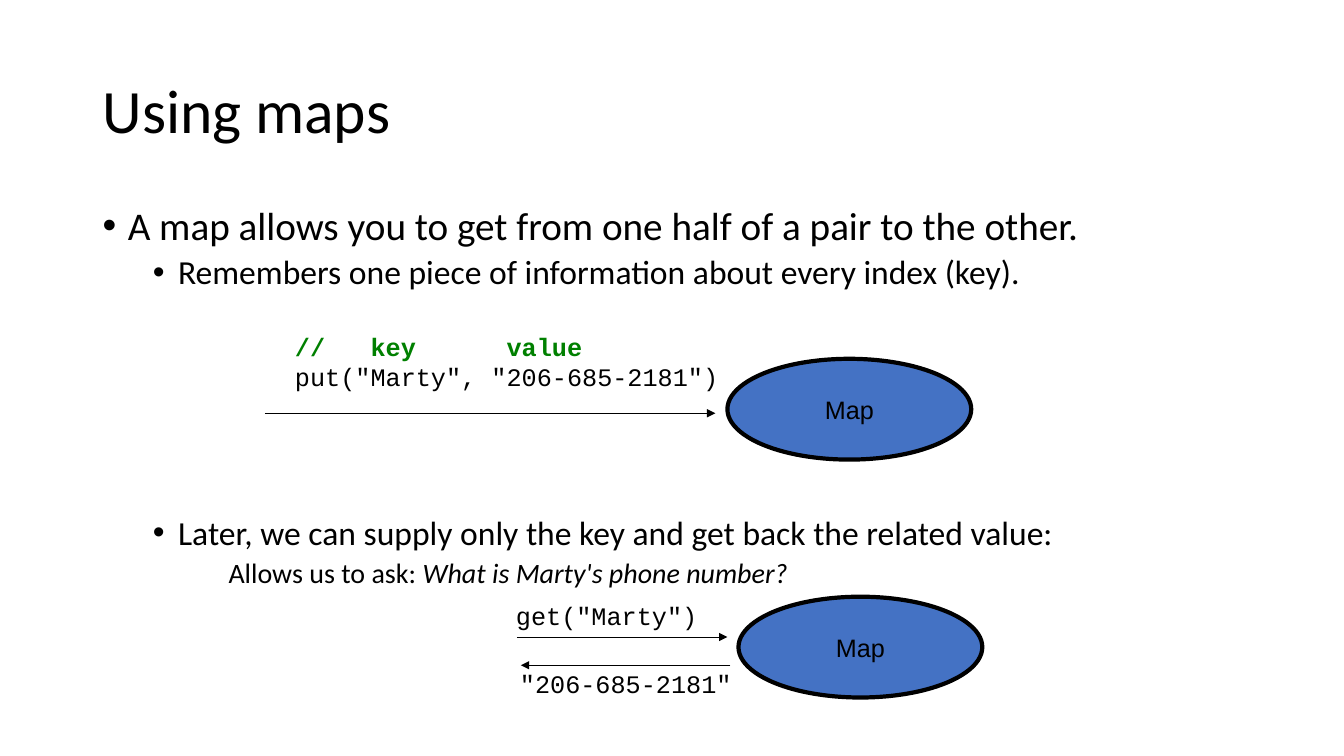
from dataclasses import dataclass

from lxml import etree
from pptx import Presentation, util as u
from pptx.dml.color import RGBColor
from pptx.enum import shapes, text
from pptx.oxml import ns


@dataclass(frozen=True)
class Theme:
    ink: RGBColor = RGBColor(0, 0, 0)
    fill: RGBColor = RGBColor(0x44, 0x72, 0xC4)
    comment: RGBColor = RGBColor(0, 0x80, 0)
    body_font: str = "Calibri"
    code_font: str = "Courier New"
    label_font: str = "Arial"
    title_size: int = 44
    level_sizes: tuple = (28, 24, 20)
    label_size: int = 18


THEME = Theme()
MAP_SIZE = (2.42, 1)


def style_run(run, font, size, color=THEME.ink, bold=False, italic=False):
    run.font.name = font
    run.font.size = u.Pt(size)
    run.font.color.rgb = color
    run.font.bold = bold
    run.font.italic = italic


def add_text_frame(slide, box, wrap=True):
    frame = slide.shapes.add_textbox(*map(u.Inches, box)).text_frame
    frame.word_wrap = wrap
    return frame


def add_title(slide, box, wording):
    frame = add_text_frame(slide, box)
    frame.vertical_anchor = text.MSO_ANCHOR.MIDDLE
    frame.text = wording
    paragraph = frame.paragraphs[0]
    paragraph.line_spacing = 0.9
    style_run(paragraph.runs[0], THEME.body_font, THEME.title_size)


def format_level(paragraph, level, space_before, bullet):
    paragraph.level = level
    paragraph.line_spacing = 0.9
    paragraph.space_before = u.Pt(space_before)
    properties = paragraph._p.get_or_add_pPr()
    properties.set("marL", str(u.Inches(0.25 + 0.5 * level)))
    properties.set("indent", str(u.Inches(-0.25 if bullet else 0)))
    if bullet:
        etree.SubElement(properties, ns.qn("a:buFont"), typeface="Arial")
        etree.SubElement(properties, ns.qn("a:buChar"), char="•")
    for run in paragraph.runs:
        style_run(run, THEME.body_font, THEME.level_sizes[level])


def add_bullets(slide, box):
    frame = add_text_frame(slide, box)
    items = [
        ("A map allows you to get from one half of a pair to the other.", 0, 10, True),
        ("Remembers one piece of information about every index (key).", 1, 5, True),
        ("Later, we can supply only the key and get back the related value:", 1, 160, True),
        ("Allows us to ask: ", 2, 5, False),
    ]
    frame.text = "\n".join(item[0] for item in items)
    for paragraph, (_, *layout) in zip(frame.paragraphs, items):
        format_level(paragraph, *layout)
    question = frame.paragraphs[-1].add_run()
    question.text = "What is Marty's phone number?"
    style_run(question, THEME.body_font, THEME.level_sizes[2], italic=True)


def add_map(slide, left, top):
    ellipse = slide.shapes.add_shape(
        shapes.MSO_SHAPE.OVAL, *map(u.Inches, (left, top, *MAP_SIZE)))
    ellipse.shadow.inherit = False
    ellipse.fill.solid()
    ellipse.fill.fore_color.rgb = THEME.fill
    ellipse.line.color.rgb = THEME.ink
    ellipse.line.width = u.Pt(3)
    frame = ellipse.text_frame
    frame.word_wrap = False
    frame.vertical_anchor = text.MSO_ANCHOR.MIDDLE
    frame.text = "Map"
    paragraph = frame.paragraphs[0]
    paragraph.alignment = text.PP_ALIGN.CENTER
    style_run(paragraph.runs[0], THEME.label_font, THEME.label_size)


def add_arrow(slide, start, end, y):
    arrow = slide.shapes.add_connector(
        shapes.MSO_CONNECTOR.STRAIGHT, *map(u.Inches, (start, y, end, y)))
    arrow.line.color.rgb = THEME.ink
    arrow.line.width = u.Pt(0.75)
    etree.SubElement(arrow.line._get_or_add_ln(), ns.qn("a:tailEnd"), type="triangle")
    etree.SubElement(arrow._element.spPr, ns.qn("a:effectLst"))


def add_code(slide, box, lines, alignment=text.PP_ALIGN.LEFT):
    frame = add_text_frame(slide, box, wrap=False)
    frame.text = "\n".join(lines)
    for paragraph in frame.paragraphs:
        paragraph.alignment = alignment
        is_comment = paragraph.text.startswith("//")
        color = THEME.comment if is_comment else THEME.ink
        style_run(paragraph.runs[0], THEME.code_font, THEME.label_size, color, is_comment)


def add_put_diagram(slide, box):
    left, top, width, height = box
    add_map(slide, left + width - MAP_SIZE[0], top + height - MAP_SIZE[1])
    add_arrow(slide, left, left + 4.47, top + 0.86)
    add_code(slide, (left + 0.2, top, 4.4, 0.7),
             ["//   key      value", 'put("Marty", "206-685-2181")'])


def add_get_diagram(slide, box):
    left, top, width, height = box
    add_map(slide, left + width - MAP_SIZE[0], top + height - MAP_SIZE[1])
    add_arrow(slide, left + 0.11, left + 2.2, top + 0.41)
    add_arrow(slide, left + 2.23, left + 0.15, top + 0.69)
    add_code(slide, (left, top, 2, 0.4), ['get("Marty")'], text.PP_ALIGN.RIGHT)
    add_code(slide, (left + 0.04, top + 0.67, 2.3, 0.4), ['"206-685-2181"'],
             text.PP_ALIGN.RIGHT)


def main():
    presentation = Presentation()
    presentation.slide_width = u.Inches(13.34)
    presentation.slide_height = u.Inches(7.5)
    slide = presentation.slides.add_slide(presentation.slide_layouts[6])
    add_title(slide, (0.92, 0.4, 11.5, 1.45), "Using maps")
    add_bullets(slide, (0.92, 2, 11.5, 4.76))
    add_put_diagram(slide, (2.63, 3.24, 7.01, 1.32))
    add_get_diagram(slide, (5.02, 5.91, 4.73, 1.01))
    presentation.save("out.pptx")


if __name__ == "__main__":
    main()
